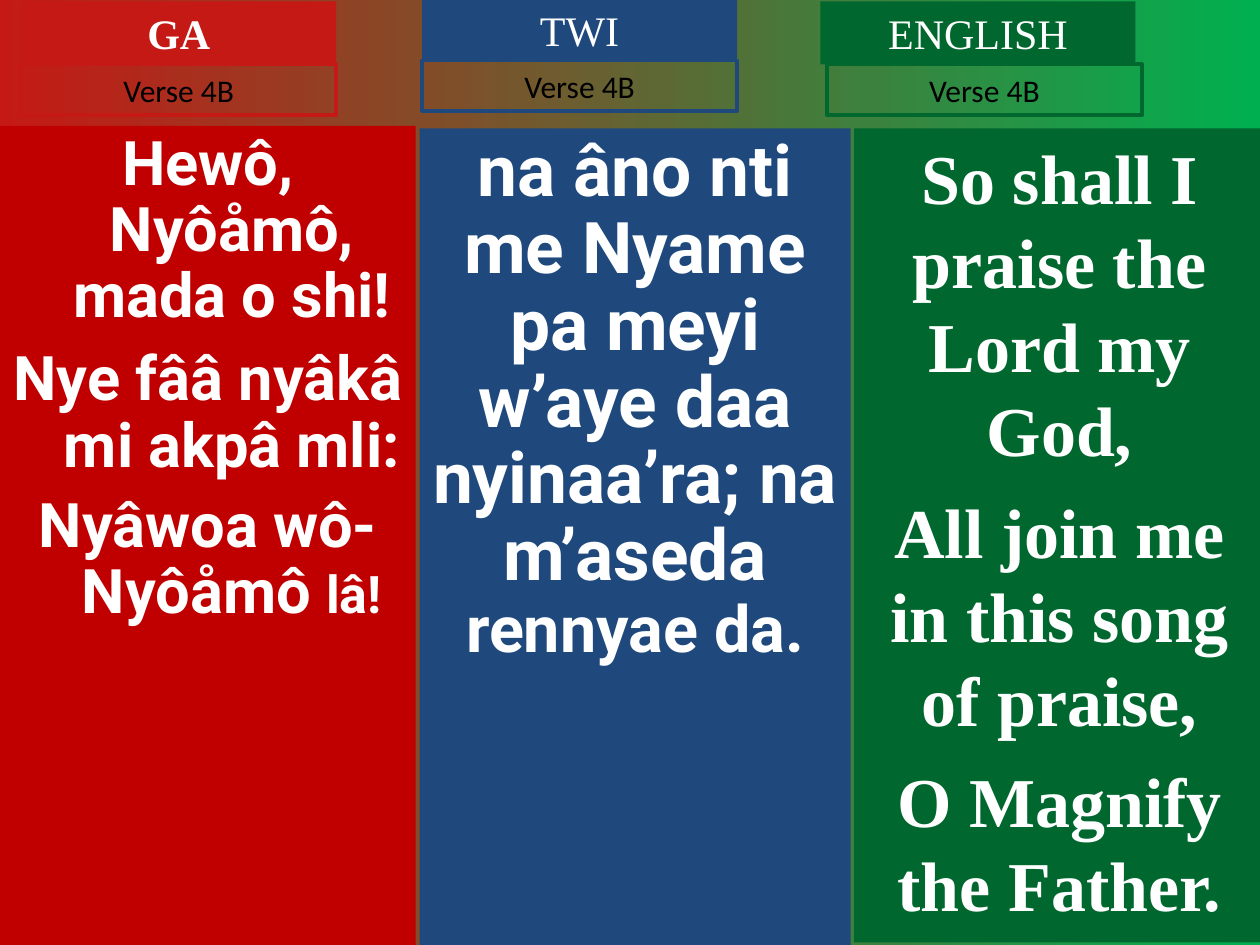
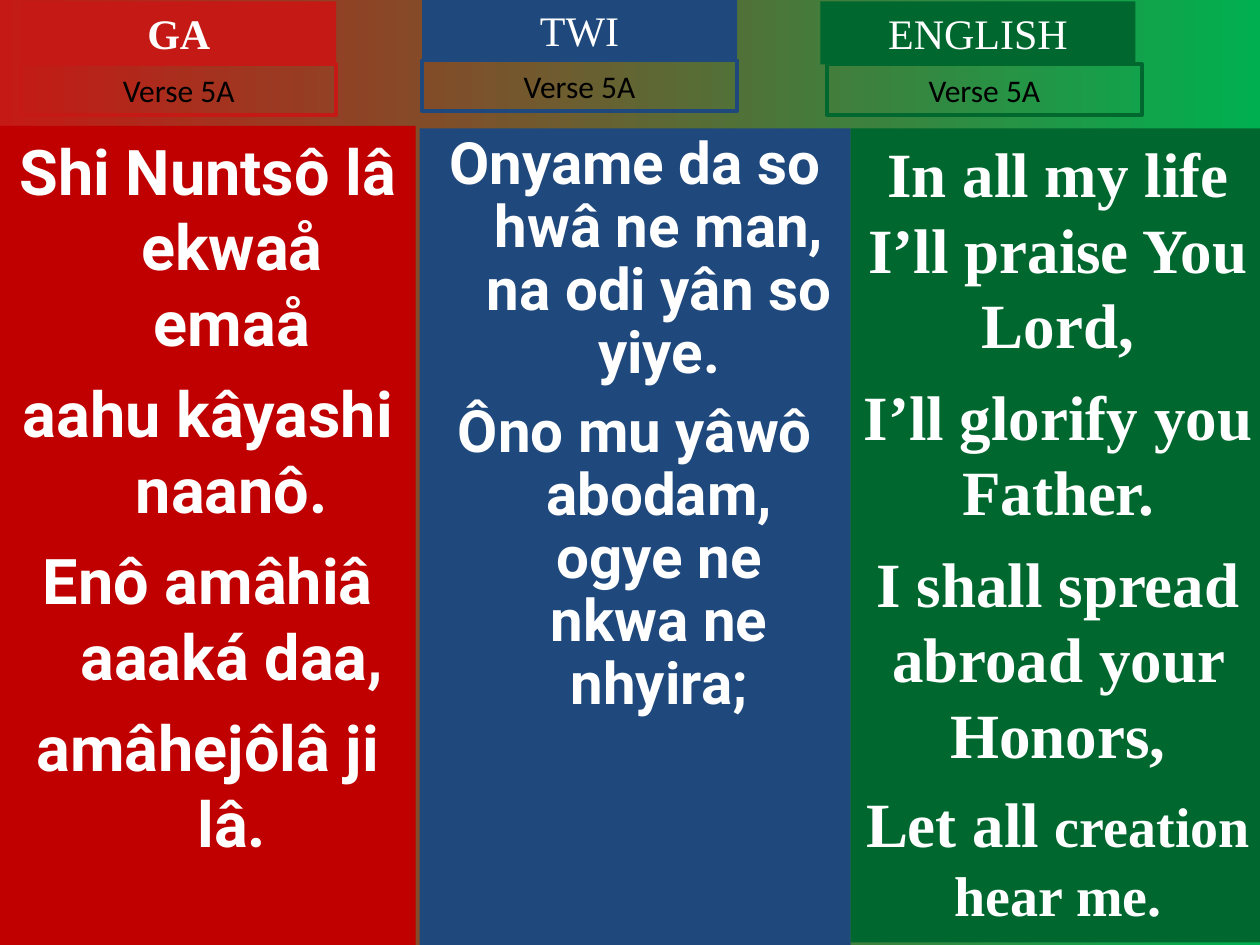
from dataclasses import dataclass

from pptx import Presentation
from pptx.dml.color import RGBColor
from pptx.enum.text import MSO_ANCHOR, MSO_AUTO_SIZE, PP_ALIGN
from pptx.util import Cm, Pt

CENTER = PP_ALIGN.CENTER
TOP = MSO_ANCHOR.TOP
GROW = MSO_AUTO_SIZE.SHAPE_TO_FIT_TEXT
FIXED = MSO_AUTO_SIZE.NONE

WHITE = RGBColor(0xFF, 0xFF, 0xFF)
BLACK = RGBColor(0x00, 0x00, 0x00)
RED = RGBColor(0xC5, 0x19, 0x15)
DARK_RED = RGBColor(0xC0, 0x00, 0x00)
BLUE = RGBColor(0x1F, 0x49, 0x7D)
GREEN = RGBColor(0x00, 0x68, 0x2F)
LIGHT_GREEN = RGBColor(0x00, 0xB0, 0x50)

SERIF = "Times New Roman"
SANS = "Calibri"
LYRIC = "Roboto"

SLIDE_WIDTH, SLIDE_HEIGHT = 25.4, 19.05
LABEL_WIDTH, HEADING_HEIGHT, VERSE_HEIGHT = 6.35, 1.27, 1.02
HANGING_INDENT = 0.97


@dataclass
class Column:
    heading: str
    bold: bool
    label_color: RGBColor
    panel_color: RGBColor
    lyric_font: str
    heading_box: tuple
    verse_offset: tuple


@dataclass
class Lyrics:
    panel_box: tuple
    paragraphs: list
    size: float
    small_size: float = 0
    space_before: float = 9
    line_spacing: float = 1
    hanging: bool = False


COLUMNS = [
    Column("GA", True, RED, DARK_RED, LYRIC, (0.43, 0.03), (0, 1.27)),
    Column("TWI", False, BLUE, BLUE, LYRIC, (8.51, -0.03), (0, 1.25)),
    Column("ENGLISH", False, GREEN, GREEN, SERIF, (16.54, 0.03), (0.13, 1.27)),
]

GA_PANEL = (0, 2.54, 8.38, 16.51)
TWI_PANEL = (8.46, 2.59, 8.69, 16.46)

SLIDES = [
    ("Verse 4B", [
        Lyrics(GA_PANEL, [
            ("Hewô, Nyôåmô, mada o shi!",),
            ("Nye fââ nyâkâ mi akpâ mli:",),
            ("Nyâwoa wô-Nyôåmô ", "lâ!"),
        ], 35.1, 29.6, 9.5, 0.9, True),
        Lyrics(TWI_PANEL, [
            ("na âno nti me Nyame pa meyi w’aye daa nyinaa’ra; na m’aseda ",
             "rennyae da."),
        ], 40.7, 37, 10, 0.9),
        Lyrics((17.22, 2.59, 8.28, 16.41), [
            ("So shall I praise the Lord my God,",),
            ("All join me in this song of praise,",),
            ("O Magnify the Father.",),
        ], 40, space_before=10),
    ]),
    ("Verse 5A", [
        Lyrics(GA_PANEL, [
            ("Shi Nuntsô lâ ekwaå emaå",),
            ("aahu kâyashi naanô.",),
            ("Enô amâhiâ aaaká daa,",),
            ("amâhejôlâ ji lâ.",),
        ], 36, hanging=True),
        Lyrics(TWI_PANEL, [
            ("Onyame da so hwâ ne man, na odi yân so yiye.",),
            ("Ôno mu yâwô abodam, ogye ne nkwa ne nhyira;",),
        ], 33.3, line_spacing=0.9, hanging=True),
        Lyrics((17.15, 2.59, 8.36, 16.41), [
            ("In all my life I’ll praise You Lord,",),
            ("I’ll glorify you Father.",),
            ("I shall spread abroad your Honors,",),
            ("Let all ", "creation hear me."),
        ], 36, 32),
    ]),
]


def add_box(slide, box, auto_size):
    shape = slide.shapes.add_textbox(*(Cm(length) for length in box))
    text_frame = shape.text_frame
    text_frame.word_wrap = True
    text_frame.auto_size = auto_size
    text_frame.vertical_anchor = TOP
    return shape


def paint(shape, color):
    shape.fill.solid()
    shape.fill.fore_color.rgb = color


def format_font(font, name, size, color, bold=False):
    font.name = name
    font.size = Pt(size)
    font.color.rgb = color
    font.bold = bold


def add_label(slide, box, text, *font_format):
    shape = add_box(slide, box, GROW)
    paragraph = shape.text_frame.paragraphs[0]
    paragraph.text = text
    paragraph.alignment = CENTER
    format_font(paragraph.runs[0].font, *font_format)
    return shape


def add_header(slide, column, verse):
    left, top = column.heading_box
    heading = add_label(slide, (left, top, LABEL_WIDTH, HEADING_HEIGHT),
                        column.heading, SERIF, 24, WHITE, column.bold)
    paint(heading, column.label_color)
    right_shift, down_shift = column.verse_offset
    verse_box = (left + right_shift, top + down_shift, LABEL_WIDTH, VERSE_HEIGHT)
    label = add_label(slide, verse_box, verse, SANS, 18, BLACK)
    label.line.color.rgb = column.label_color
    label.line.width = Pt(2.25)


def add_panel(slide, column, lyrics):
    shape = add_box(slide, lyrics.panel_box, FIXED)
    paint(shape, column.panel_color)
    text_frame = shape.text_frame
    for index, parts in enumerate(lyrics.paragraphs):
        paragraph = text_frame.add_paragraph() if index else text_frame.paragraphs[0]
        paragraph.alignment = CENTER
        paragraph.line_spacing = lyrics.line_spacing
        if index:
            paragraph.space_before = Pt(8 if len(parts) > 1 else lyrics.space_before)
        if lyrics.hanging:
            properties = paragraph._p.get_or_add_pPr()
            properties.set("marL", str(Cm(HANGING_INDENT)))
            properties.set("indent", str(-Cm(HANGING_INDENT)))
        for text, size in zip(parts, (lyrics.size, lyrics.small_size)):
            run = paragraph.add_run()
            run.text = text
            format_font(run.font, column.lyric_font, size, WHITE, True)


def set_background(master):
    fill = master.background.fill
    fill.gradient()
    fill.gradient_angle = 0
    for stop, color, position in zip(fill.gradient_stops, (RED, LIGHT_GREEN), (0, 1)):
        stop.color.rgb = color
        stop.position = position


def main():
    presentation = Presentation()
    presentation.slide_width = Cm(SLIDE_WIDTH)
    presentation.slide_height = Cm(SLIDE_HEIGHT)
    set_background(presentation.slide_master)
    blank_layout = presentation.slide_layouts[6]
    for verse, all_lyrics in SLIDES:
        slide = presentation.slides.add_slide(blank_layout)
        for column, lyrics in zip(COLUMNS, all_lyrics):
            add_panel(slide, column, lyrics)
            add_header(slide, column, verse)
    presentation.save("out.pptx")


if __name__ == "__main__":
    main()
